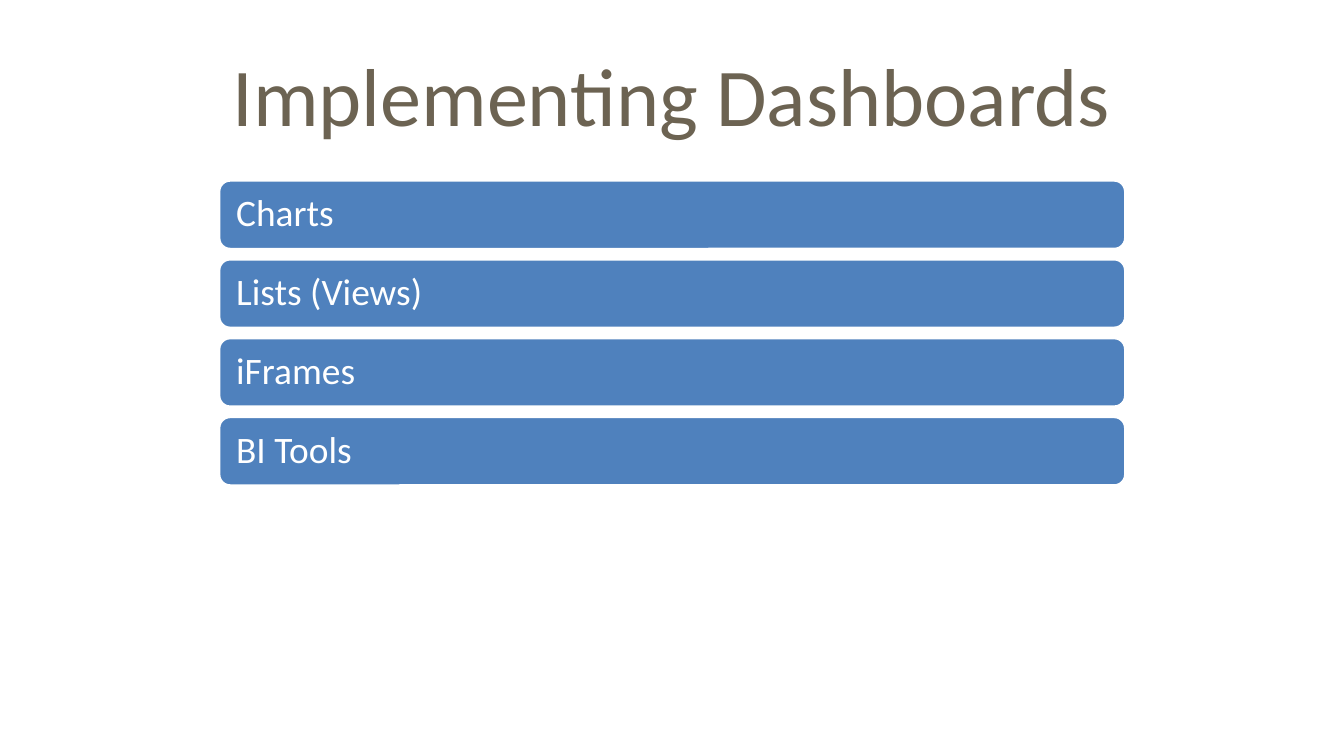
from pptx import Presentation
from pptx.dml.color import RGBColor
from pptx.enum.shapes import MSO_SHAPE
from pptx.enum.text import MSO_ANCHOR, PP_ALIGN
from pptx.util import Cm, Pt

FONT = "Calibri"
BLUE, WHITE, BROWN = "4F81BD", "FFFFFF", "6C6352"
TOPICS = ["Charts", "Lists (Views)", "iFrames", "BI Tools"]
LEFT, TOP, WIDTH, HEIGHT, STEP = 4.13, 3.4, 17.15, 1.32, 1.49


def color(code):
    return RGBColor.from_string(code)


def style(par, size, code, align):
    par.alignment = align
    par.font.name = FONT
    par.font.size = Pt(size)
    par.font.color.rgb = color(code)


def add_title(slide, text):
    title = slide.shapes.title
    title.left, title.top = Cm(1.27), Cm(0.58)
    title.width, title.height = Cm(22.86), Cm(2.39)
    frame = title.text_frame
    frame.text = text
    frame.vertical_anchor = MSO_ANCHOR.MIDDLE
    style(frame.paragraphs[0], 44, BROWN, PP_ALIGN.CENTER)


def add_bar(slide, text, top):
    bar = slide.shapes.add_shape(
        MSO_SHAPE.ROUNDED_RECTANGLE, Cm(LEFT), Cm(top), Cm(WIDTH), Cm(HEIGHT))
    bar.shadow.inherit = False
    bar.fill.solid()
    bar.fill.fore_color.rgb = color(BLUE)
    bar.line.color.rgb = color(WHITE)
    bar.line.width = Pt(2)
    frame = bar.text_frame
    frame.word_wrap = True
    frame.vertical_anchor = MSO_ANCHOR.MIDDLE
    frame.margin_left = frame.margin_right = Cm(0.27)
    frame.text = text
    par = frame.paragraphs[0]
    par.line_spacing = 0.9
    style(par, 20, WHITE, PP_ALIGN.LEFT)


def main():
    deck = Presentation()
    deck.slide_width, deck.slide_height = Cm(25.4), Cm(14.29)
    slide = deck.slides.add_slide(deck.slide_layouts[5])

    # Heading
    add_title(slide, "Implementing Dashboards")

    # Stacked topic bars
    for row, topic in enumerate(TOPICS):
        add_bar(slide, topic, TOP + row * STEP)

    deck.save("out.pptx")


if __name__ == "__main__":
    main()
